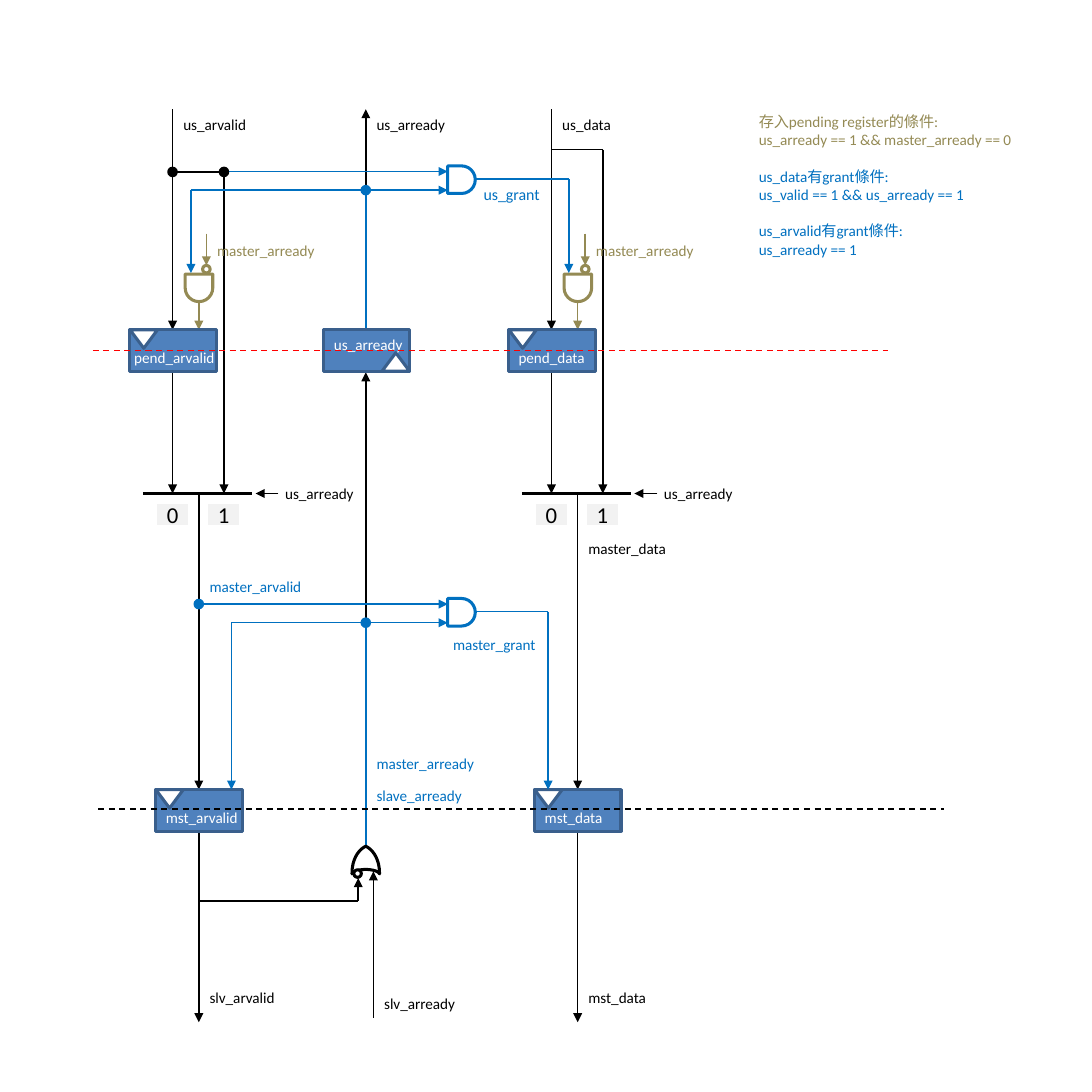
from lxml import etree
from pptx import Presentation
from pptx.dml.color import RGBColor
from pptx.enum.dml import MSO_LINE
from pptx.enum.shapes import MSO_CONNECTOR, MSO_SHAPE
from pptx.enum.text import MSO_ANCHOR, MSO_AUTO_SIZE, PP_ALIGN
from pptx.oxml.ns import qn
from pptx.util import Pt

STRAIGHT = MSO_CONNECTOR.STRAIGHT
RECTANGLE = MSO_SHAPE.RECTANGLE
TRIANGLE = MSO_SHAPE.ISOSCELES_TRIANGLE
OVAL = MSO_SHAPE.OVAL
AND_GATE = MSO_SHAPE.FLOWCHART_DELAY
DASH = MSO_LINE.DASH
MIDDLE = MSO_ANCHOR.MIDDLE
CENTER = PP_ALIGN.CENTER
GROW = MSO_AUTO_SIZE.SHAPE_TO_FIT_TEXT

COLORS = {"black": "000000", "white": "FFFFFF", "blue": "0070C0", "olive": "948A54",
          "register": "4F81BD", "edge": "3A5F8C", "mux": "F2F2F2", "red": "FF0000"}
FONT = "Calibri"
REGISTER_WIDTH, REGISTER_HEIGHT = 57, 27.4
CLOCK_WIDTH, CLOCK_HEIGHT = 18.2, 12.2
GATE = 18.2
DOT = 5


def rgb(name):
    return RGBColor.from_string(COLORS[name])


def paint(shape, fill, edge):
    shape.shadow.inherit = False
    if fill:
        shape.fill.solid()
        shape.fill.fore_color.rgb = rgb(fill)
    else:
        shape.fill.background()
    shape.line.color.rgb = rgb(edge)
    shape.line.width = Pt(2)


def add_part(page, kind, left, top, width, height, fill, edge, rotation=0):
    part = page.shapes.add_shape(kind, Pt(left), Pt(top), Pt(width), Pt(height))
    part.rotation = rotation
    paint(part, fill, edge)
    return part


def add_dot(page, x, y, fill, edge):
    add_part(page, OVAL, x - DOT / 2, y - DOT / 2, DOT, DOT, fill, edge)


def add_wire(page, start, end, color="black", arrow=True, width=1):
    wire = page.shapes.add_connector(STRAIGHT, *(Pt(value) for value in start + end))
    wire.line.color.rgb = rgb(color)
    wire.line.width = Pt(width)
    if arrow:
        etree.SubElement(wire.line._get_or_add_ln(), qn("a:tailEnd"), type="triangle")
    etree.SubElement(wire._element.spPr, qn("a:effectLst"))
    return wire


def style(para, color, size=10):
    for span in para.runs:
        span.font.name = FONT
        span.font.size = Pt(size)
        span.font.color.rgb = rgb(color)


def add_label(page, left, top, width, text, color="black", size=10, height=19.4):
    box = page.shapes.add_textbox(Pt(left), Pt(top), Pt(width), Pt(height))
    frame = box.text_frame
    frame.text = text
    frame.word_wrap = False
    frame.auto_size = GROW
    for para in frame.paragraphs:
        style(para, color, size)
    return frame


def add_register(page, left, top, upward=False):
    add_part(page, RECTANGLE, left, top, REGISTER_WIDTH, REGISTER_HEIGHT, "register", "edge")
    if upward:
        left += REGISTER_WIDTH - CLOCK_WIDTH
        top += REGISTER_HEIGHT - CLOCK_HEIGHT
    add_part(page, TRIANGLE, left, top, CLOCK_WIDTH, CLOCK_HEIGHT, "white", "edge",
             0 if upward else 180)


def add_pending_gate(page, left, top):
    add_part(page, AND_GATE, left, top, GATE, GATE, None, "olive", 90)
    add_wire(page, (left + 9, top + GATE), (left + 9, top + 36.7), "olive")
    add_wire(page, (left + 14, top - 26.7), (left + 14, top - 5.7), "olive")
    add_dot(page, left + 14, top - 3.2, "white", "olive")
    add_label(page, left + 14, top - 25.2, 80, "master_arready", "olive")


def add_mux(page, left, top):
    add_wire(page, (left, top), (left + 72, top), arrow=False, width=2)
    for index in range(2):
        box = add_part(page, RECTANGLE, left + 8 + index * 33.6, top + 5.8, 23, 15.8, "mux", "white")
        frame = box.text_frame
        frame.text = str(index)
        frame.vertical_anchor = MIDDLE
        frame.paragraphs[0].alignment = CENTER
        style(frame.paragraphs[0], "black", 15)
    add_wire(page, (left + 89.3, top), (left + 74.2, top))
    add_label(page, left + 86.6, top - 9.3, 60.5, "us_arready")


def add_channel(page, left, top, branch, source, pending, merged, master, output):
    direct, bypass, middle = left + 28.1, left + 62, left + 45.4
    pend_top, mux_top, master_top = top + 145.4, top + 253.4, top + 448.6
    add_wire(page, (direct, top), (direct, pend_top))
    add_wire(page, (direct, top + branch), (bypass, top + branch), arrow=False)
    add_wire(page, (bypass, top + branch), (bypass, mux_top))
    add_wire(page, (direct, pend_top + REGISTER_HEIGHT), (direct, mux_top))
    add_wire(page, (middle, mux_top), (middle, master_top))
    add_wire(page, (middle, master_top + REGISTER_HEIGHT), (middle, top + 602))
    add_pending_gate(page, left + 36.4, top + 108.7)
    add_register(page, left, pend_top)
    add_mux(page, left + 8.6, mux_top)
    add_register(page, left + 17, master_top)
    add_label(page, direct, top + 0.4, *source)
    pending_shift, pending_width, pending_text = pending
    add_label(page, left + pending_shift, top + 154.1, pending_width, pending_text, "white")
    merged_top, merged_width, merged_text, merged_color = merged
    add_label(page, middle, top + merged_top, merged_width, merged_text, merged_color)
    add_label(page, left + 16.6, top + 457.2, *master, "white")
    add_label(page, middle, top + 576, *output)


def add_grant(page, left, top, valid_x, ready_x, left_drop, right_drop, bottom):
    upper, lower, middle = top + 3.7, top + 16, top + 8.6
    add_part(page, AND_GATE, left, top, GATE, GATE, None, "blue")
    add_wire(page, (valid_x, upper), (left, upper), "blue")
    add_wire(page, (left_drop, lower), (left, lower), "blue")
    add_wire(page, (left + GATE, middle), (right_drop, middle), "blue", arrow=False)
    add_wire(page, (left_drop, lower), (left_drop, bottom), "blue")
    add_wire(page, (right_drop, middle), (right_drop, bottom), "blue")
    add_dot(page, ready_x, lower, "blue", "blue")


def curve(points, steps=12):
    for index in range(1, steps + 1):
        t = index / steps
        weights = ((1 - t) ** 3, 3 * t * (1 - t) ** 2, 3 * t * t * (1 - t), t ** 3)
        yield tuple(sum(w * point[axis] for w, point in zip(weights, points)) for axis in (0, 1))


def add_or_gate(page, left, top):
    half = [(0.5, 0), *curve(((0.5, 0), (0.5, 0), (1, 0.2), (1, 1))),
            *curve(((1, 1), (0.92, 0.84), (0.5, 0.84), (0.5, 0.84)))]
    outline = half + [(1 - x, y) for x, y in reversed(half[:-1])]
    corners = [(Pt(left + x * GATE), Pt(top + y * GATE)) for x, y in outline]
    builder = page.shapes.build_freeform(*corners[0])
    builder.add_line_segments(corners[1:], close=True)
    paint(builder.convert_to_shape(), "white", "black")
    add_dot(page, left + 3.7, top + 18, "white", "black")


def add_ready_column(page, left, top, valid_x):
    middle = left + 28.1
    inverted, direct = middle - 5, middle + 5
    add_wire(page, (middle, top + 53.3), (middle, top))
    add_wire(page, (middle, top + 145.4), (middle, top + 53.3), "blue", arrow=False)
    add_wire(page, (middle, top + 338.4), (middle, top + 173.5))
    add_wire(page, (middle, top + 486), (middle, top + 338.4), "blue", arrow=False)
    add_wire(page, (valid_x, top + 522), (inverted, top + 522), arrow=False)
    add_register(page, left, top + 145.4, upward=True)
    add_or_gate(page, middle - GATE / 2, top + 486)
    add_wire(page, (inverted, top + 522), (inverted, top + 507))
    add_wire(page, (direct, top + 599), (direct, top + 502.6))
    add_label(page, middle, top + 0.7, 60.5, "us_arready")
    add_label(page, left, top + 145.4, 60.5, "us_arready", "white")
    add_label(page, middle, top + 421.9, 80, "master_arready", "blue")
    add_label(page, middle, top + 442.8, 72, "slave_arready", "blue")
    add_label(page, direct, top + 580.3, 62, "slv_arready")


def add_conditions(page, left, top, width):
    lines = ["存入pending register的條件:", "us_arready == 1 && master_arready == 0",
             "us_data有grant條件:", "us_valid == 1 && us_arready == 1",
             "us_arvalid有grant條件:", "us_arready == 1"]
    frame = add_label(page, left, top, width, "\n".join(lines), "blue", height=104.4)
    for para in frame.paragraphs[:2]:
        style(para, "olive")
    for para in frame.paragraphs[2::2]:
        para.space_before = Pt(12)


def add_clock_line(page, left, top, width, color):
    line = add_wire(page, (left, top), (left + width, top), color, arrow=False)
    line.line.dash_style = DASH


def main():
    deck = Presentation()
    deck.slide_width = deck.slide_height = Pt(720)
    page = deck.slides.add_slide(deck.slide_layouts[6])
    add_channel(page, 85.7, 72, 41.4, (56, "us_arvalid"), (-4.3, 68.4, "pend_arvalid"),
                (305.3, 75.6, "master_arvalid", "blue"), (62.6, "mst_arvalid"),
                (57.6, "slv_arvalid"))
    add_channel(page, 335.5, 72, 26.6, (46.8, "us_data"), (-0.7, 59, "pend_data"),
                (280.1, 67, "master_data", "black"), (53.3, "mst_data"), (53.3, "mst_data"))
    add_ready_column(page, 213.1, 72, 131.1)
    add_grant(page, 295.2, 109.4, 147.7, 241.2, 125.9, 375.1, 180)
    add_grant(page, 295.2, 394.6, 131.1, 241.2, 152.6, 361.4, 520.6)
    for x in (113.8, 147.7):
        add_dot(page, x, 113.4, "black", "black")
    add_dot(page, 131.1, 398.3, "blue", "blue")
    add_label(page, 311.8, 118.1, 52.6, "us_grant", "blue", 10.5)
    add_label(page, 291.6, 415.4, 70.6, "master_grant", "blue")
    add_clock_line(page, 61.2, 231.1, 524.2, "red")
    add_clock_line(page, 64.8, 533.5, 557.3, "black")
    add_conditions(page, 493.2, 70.6, 183.6)
    deck.save("out.pptx")


if __name__ == "__main__":
    main()
